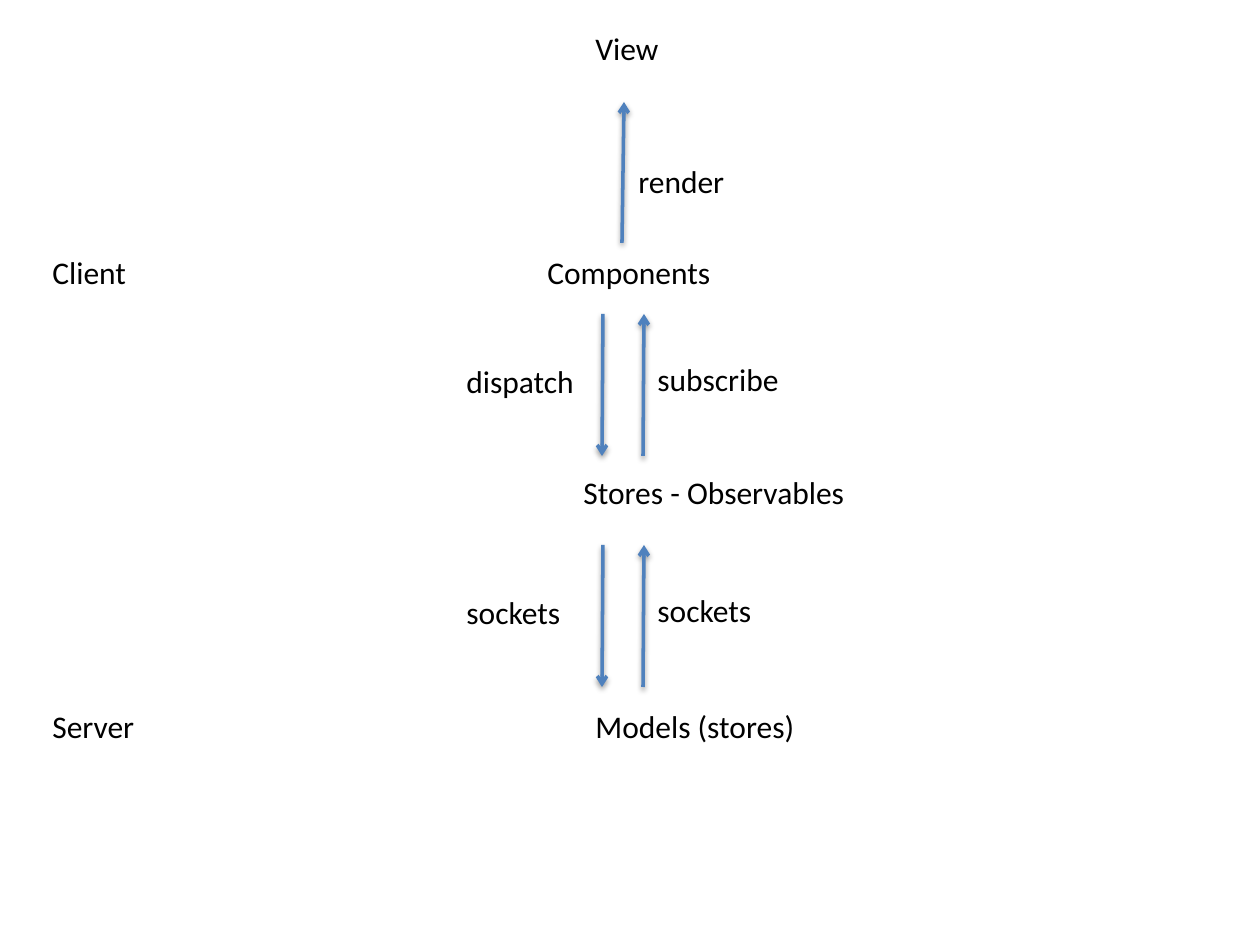
from lxml.etree import SubElement
from pptx import Presentation
from pptx.dml.color import RGBColor
from pptx.enum.shapes import MSO_CONNECTOR
from pptx.enum.text import MSO_AUTO_SIZE
from pptx.oxml import parse_xml
from pptx.oxml.ns import qn
from pptx.util import Emu, Pt

SHADOW = (
    '<a:effectLst xmlns:a="http://schemas.openxmlformats.org/drawingml/2006/main">'
    '<a:outerShdw blurRad="40000" dist="20000" dir="5400000" rotWithShape="0">'
    '<a:srgbClr val="000000"><a:alpha val="38000"/></a:srgbClr>'
    '</a:outerShdw></a:effectLst>'
)


def px(n):
    """Turn picture pixels into EMU."""
    return Emu(round(n * 914400 / 126))


def color(value):
    """Turn a hex string into a colour."""
    return RGBColor.from_string(value)


class Diagram:
    """Draws labels and arrows in one style on the current slide."""

    font = {"name": "Calibri", "size": Pt(18)}
    ink = "000000"
    accent = "4F81BD"
    label_height = 50

    def __init__(self, slide):
        """Keep the slide to draw on."""
        self.shapes = slide.shapes

    def label(self, text, x, y, width):
        """Add a left-aligned text box."""
        box = self.shapes.add_textbox(px(x), px(y), px(width), px(self.label_height))
        tf = box.text_frame
        tf.word_wrap = True
        tf.auto_size = MSO_AUTO_SIZE.SHAPE_TO_FIT_TEXT
        r = tf.paragraphs[0].add_run()
        r.text = text
        for key, value in self.font.items():
            setattr(r.font, key, value)
        r.font.color.rgb = color(self.ink)

    def arrow(self, x1, y1, x2, y2):
        """Add a shadowed arrow that points at the second end."""
        line = self.shapes.add_connector(
            MSO_CONNECTOR.STRAIGHT, px(x1), px(y1), px(x2), px(y2))
        line.line.width = Pt(2)
        line.line.color.rgb = color(self.accent)
        SubElement(line.line._get_or_add_ln(), qn("a:tailEnd"), type="arrow")
        line._element.spPr.append(parse_xml(SHADOW))


prs = Presentation()
prs.slide_width, prs.slide_height = px(1260), px(945)
diagram = Diagram(prs.slides.add_slide(prs.slide_layouts[6]))

layers = [
    ("View", 583, 23, 103),
    ("Client", 40, 247, 103),
    ("Components", 535, 247, 190),
    ("Server", 40, 701, 111),
    ("Stores - Observables", 571, 467, 287),
    ("Models (stores)", 583, 701, 229),
]
for layer in layers:
    diagram.label(*layer)

diagram.label("render", 626, 156, 174)
diagram.arrow(622, 243, 624, 102)

arrow_length = 142
exchanges = [("dispatch", "subscribe", 314), ("sockets", "sockets", 545)]
for down, up, top in exchanges:
    bottom = top + arrow_length
    diagram.label(up, 645, top + 40, 174)
    diagram.arrow(643, bottom, 644, top)
    diagram.label(down, 454, top + 42, 135)
    diagram.arrow(603, top, 602, bottom)

prs.save("out.pptx")
